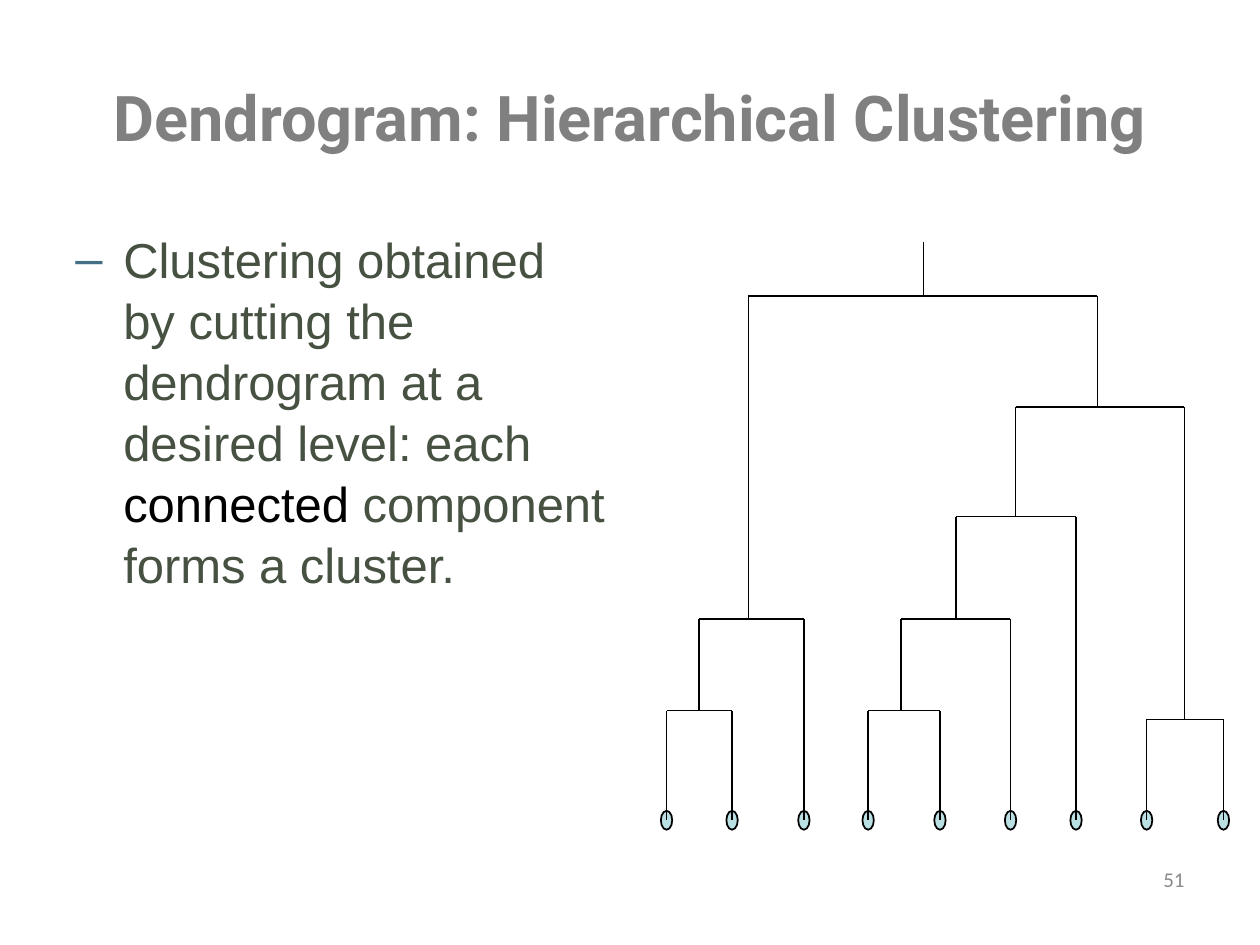
from pptx import Presentation
from pptx.dml.color import RGBColor as Rgb
from pptx.enum.shapes import MSO_CONNECTOR as Link, MSO_SHAPE as Form
from pptx.enum.text import MSO_ANCHOR as Anchor, PP_ALIGN as Align
from pptx.oxml.ns import qn
from pptx.util import Inches, Pt
from lxml.etree import SubElement as Sub

HUE = {"title": "808080", "body": "465142", "key": "000000", "dash": "437085",
       "page": "898989", "leaf": "BBE0E3", "line": "000000"}

FONT = {
    "title": {"name": "Roboto", "size": Pt(36), "bold": True},
    "body": {"name": "Arial", "size": Pt(28)},
    "key": {"name": "Arial", "size": Pt(28)},
    "page": {"name": "Calibri", "size": Pt(12)},
}

TEXTS = [
    ((0.5, 0.3, 9, 1.25), Anchor.MIDDLE, {"alignment": Align.CENTER},
     [("Dendrogram: Hierarchical Clustering", "title")]),
    ((0.5, 1.75, 4.42, 4.95), Anchor.TOP,
     {"alignment": Align.LEFT, "space_before": Pt(4.8), "line_spacing": 1.04},
     [("Clustering obtained by cutting the dendrogram at a desired level: each ", "body"),
      ("connected", "key"),
      (" component forms a cluster.", "body")]),
    ((7.17, 6.83, 2.33, 0.52), Anchor.TOP, {"alignment": Align.RIGHT}, [("51", "page")]),
]

LEAVES = [5.29, 5.81, 6.38, 6.89, 7.46, 8.02, 8.54, 9.1, 9.71]
BASE = 6.51
LEAF_W, LEAF_H = 0.09, 0.15

# name: (height, stem, left child, right child)
JOINS = {
    "a": (5.64, 5.55, 0, 1),
    "b": (4.91, 5.94, "a", 2),
    "c": (5.64, 7.15, 3, 4),
    "d": (4.91, 7.59, "c", 5),
    "e": (4.1, 8.06, "d", 6),
    "f": (5.71, 9.4, 7, 8),
    "g": (3.23, 8.71, "e", "f"),
    "root": (2.35, 7.33, "b", "g"),
}
TOP = 1.92


def add_text(slide, box, anchor, form, runs):
    shape = slide.shapes.add_textbox(*map(Inches, box))
    frame = shape.text_frame
    frame.word_wrap = True
    frame.vertical_anchor = anchor
    para = frame.paragraphs[0]
    for key, value in form.items():
        setattr(para, key, value)
    for text, style in runs:
        run = para.add_run()
        run.text = text
        for key, value in FONT[style].items():
            setattr(run.font, key, value)
        run.font.color.rgb = Rgb.from_string(HUE[style])
    return para


def add_dash(para):
    props = para._p.get_or_add_pPr()
    props.set("marL", str(Inches(0.38)))
    props.set("indent", str(-Inches(0.38)))
    Sub(Sub(props, qn("a:buClr")), qn("a:srgbClr"), val=HUE["dash"])
    Sub(props, qn("a:buFont"), typeface="Arial")
    Sub(props, qn("a:buChar"), char="–")


def ink(line):
    line.color.rgb = Rgb.from_string(HUE["line"])
    line.width = Pt(1)


def add_line(tree, *ends):
    link = tree.add_connector(Link.STRAIGHT, *map(Inches, ends))
    ink(link.line)
    Sub(link._element.spPr, qn("a:effectLst"))


def add_leaf(tree, x):
    box = (x - LEAF_W / 2, BASE - LEAF_H / 2, LEAF_W, LEAF_H)
    leaf = tree.add_shape(Form.OVAL, *map(Inches, box))
    leaf.shadow.inherit = False
    leaf.fill.solid()
    leaf.fill.fore_color.rgb = Rgb.from_string(HUE["leaf"])
    ink(leaf.line)


def spot(child):
    if child in JOINS:
        y, x = JOINS[child][:2]
        return x, y
    return LEAVES[child], BASE


def add_tree(slide):
    tree = slide.shapes.add_group_shape().shapes
    for x in LEAVES:
        add_leaf(tree, x)
    for y, stem, *pair in JOINS.values():
        ends = [spot(child) for child in pair]
        for x, low in ends:
            add_line(tree, x, y, x, low)
        add_line(tree, ends[0][0], y, ends[1][0], y)
    x, y = spot("root")
    add_line(tree, x, TOP, x, y)


def main():
    deck = Presentation()
    deck.slide_width, deck.slide_height = Inches(10), Inches(7.5)
    slide = deck.slides.add_slide(deck.slide_layouts[6])
    title, body, page = [add_text(slide, *item) for item in TEXTS]
    add_dash(body)
    add_tree(slide)
    deck.save("out.pptx")


if __name__ == "__main__":
    main()
